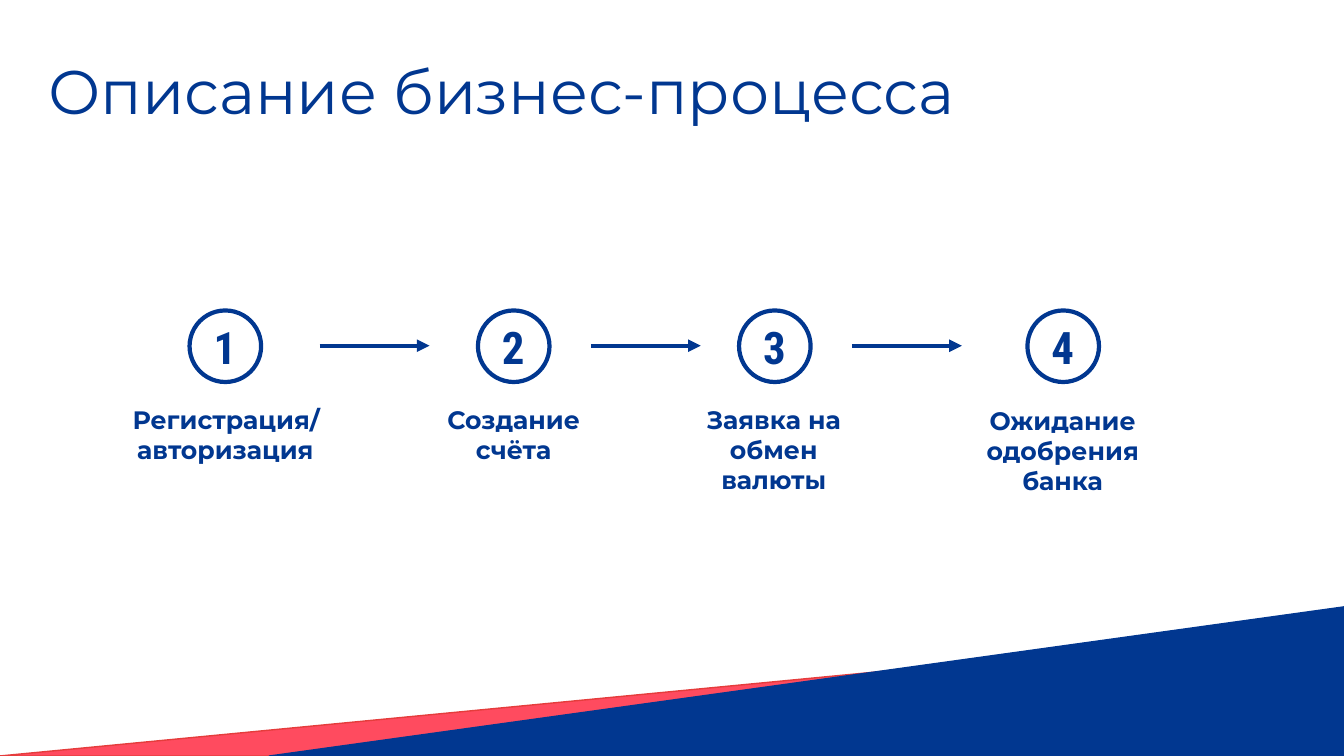
from pptx import Presentation
from pptx import util as u
from pptx.dml.color import RGBColor
from pptx.enum import shapes, text
from pptx.oxml.ns import qn
from lxml import etree

NAVY = RGBColor(0x01, 0x37, 0x90)
CORAL = RGBColor(0xFF, 0x4B, 0x5F)
RED = RGBColor(0xE5, 0x3C, 0x3C)
PX = 9144
WIDE, HIGH = 1333, 750
MID = 343
DISC = 71
ARROW = 109


def px(*sizes):
    return [u.Emu(size * PX) for size in sizes]


class Deck:
    sans = "Montserrat"
    narrow = "Roboto Condensed"
    ink = NAVY

    def __init__(self):
        self.prs = Presentation()
        self.prs.slide_width, self.prs.slide_height = px(WIDE, HIGH)
        self.slide = self.prs.slides.add_slide(self.prs.slide_layouts[5])
        self.items = self.slide.shapes

    def run(self, para, words, size, face, bold=False):
        run = para.add_run()
        run.text = words
        font = run.font
        font.size, font.name, font.bold = u.Pt(size), face, bold
        font.color.rgb = self.ink

    def title(self, words, *box):
        head = self.items.title
        head.left, head.top, head.width, head.height = px(*box)
        frame = head.text_frame
        frame.auto_size = text.MSO_AUTO_SIZE.NONE
        frame.vertical_anchor = text.MSO_ANCHOR.MIDDLE
        para = frame.paragraphs[0]
        para.alignment = text.PP_ALIGN.LEFT
        para.line_spacing = 0.9
        self.run(para, words, 44, self.sans)

    def wedge(self, left, top, fill, line):
        box = px(left, top, WIDE - left, HIGH - top)
        self.corner(box, fill, line)

    def corner(self, box, fill, line):
        tri = self.items.add_shape(shapes.MSO_SHAPE.RIGHT_TRIANGLE, *box)
        tri.shadow.inherit = False
        tri.rotation = 180
        tri._element.spPr.find(qn("a:xfrm")).set("flipV", "1")
        tri.fill.solid()
        tri.fill.fore_color.rgb = fill
        tri.line.color.rgb = line
        tri.line.width = u.Pt(1)

    def note(self, home, words, box, size, face, align, wrap):
        frame = home.add_textbox(*px(*box)).text_frame
        frame.word_wrap = wrap
        frame.auto_size = text.MSO_AUTO_SIZE.SHAPE_TO_FIT_TEXT
        para = frame.paragraphs[0]
        para.alignment = align
        self.run(para, words, size, face, True)

    def badge(self, digit, left):
        group = self.items.add_group_shape().shapes
        ring = group.add_shape(shapes.MSO_SHAPE.OVAL,
                               *px(left, MID - DISC // 2, DISC, DISC))
        ring.shadow.inherit = False
        ring.fill.background()
        ring.line.color.rgb = self.ink
        ring.line.width = u.Pt(3)
        self.note(group, digit, (left + 14, 312, 43, 64), 32, self.narrow,
                  text.PP_ALIGN.LEFT, False)

    def label(self, words, *box):
        self.note(self.items, words, box, 18, self.sans,
                  text.PP_ALIGN.CENTER, True)

    def arrow(self, left):
        link = self.items.add_connector(shapes.MSO_CONNECTOR.STRAIGHT,
                                        *px(left, MID, left + ARROW, MID))
        link.line.color.rgb = self.ink
        link.line.width = u.Pt(3)
        tail = etree.SubElement(link.line._get_or_add_ln(), qn("a:tailEnd"))
        tail.set("type", "triangle")
        etree.SubElement(link._element.spPr, qn("a:effectLst"))


def main():
    deck = Deck()
    deck.corner(px(0, 643, 1116, 107), CORAL, RED)
    deck.wedge(267, 602, NAVY, NAVY)
    deck.title("Описание бизнес-процесса", 38, 21, 1150, 145)

    steps = [
        ("Регистрация/авторизация", 188, (119, 396, 209, 71)),
        ("Создание счёта", 474, (433, 396, 153, 71)),
        ("Заявка на обмен валюты", 733, (691, 396, 153, 101)),
        ("Ожидание одобрения банка", 1019, (968, 397, 172, 101)),
    ]
    for digit, (words, left, box) in enumerate(steps, 1):
        deck.badge(str(digit), left)
        deck.label(words, *box)
    for left in (317, 586, 845):
        deck.arrow(left)

    deck.prs.save("out.pptx")


if __name__ == "__main__":
    main()
